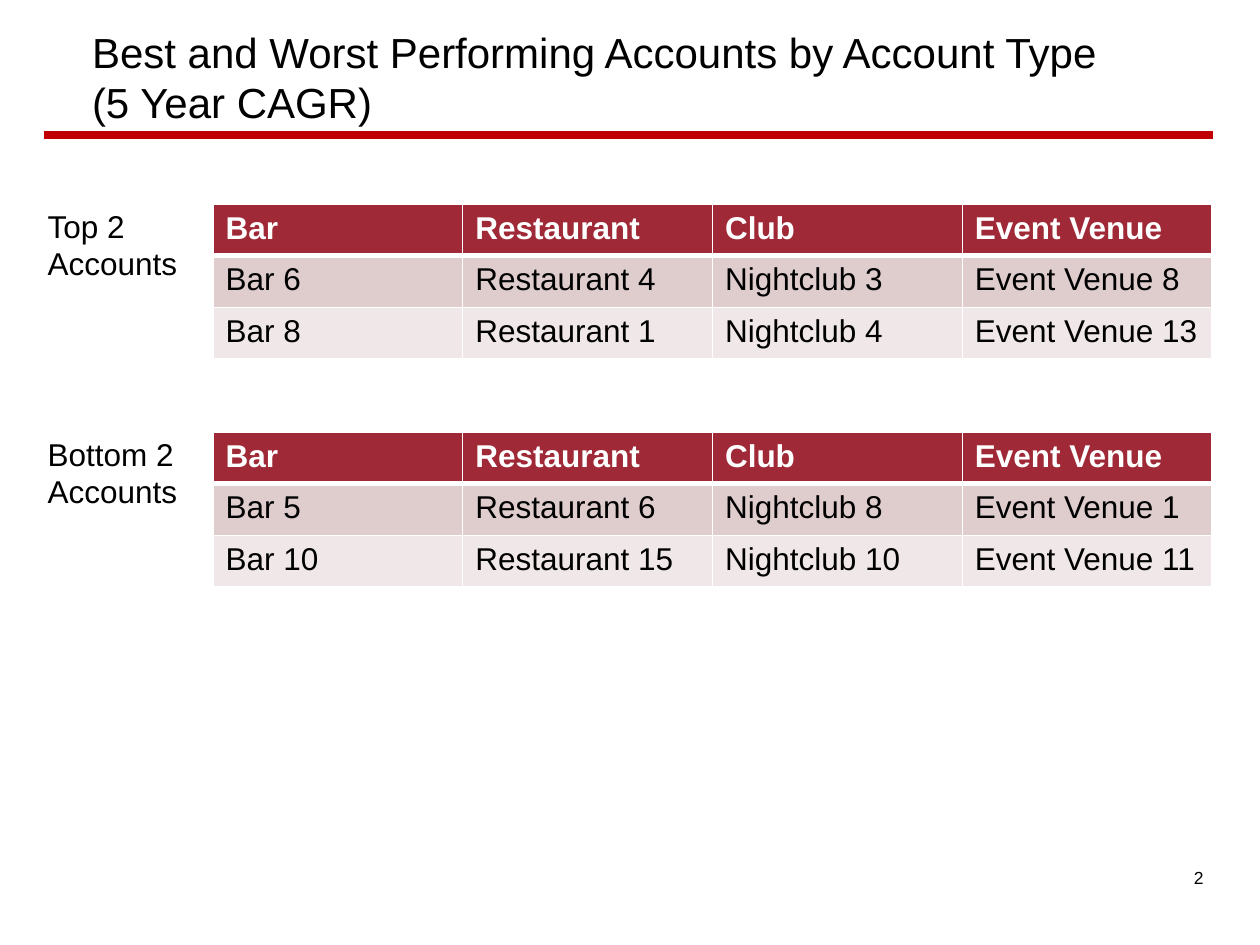
from lxml.etree import SubElement
from pptx import Presentation
from pptx.dml.color import RGBColor
from pptx.enum.shapes import MSO_CONNECTOR
from pptx.enum.text import MSO_ANCHOR, PP_ALIGN
from pptx.oxml.ns import qn
from pptx.util import Inches, Pt

RED, HEADER, BAND, PALE = "C00000", "9F2936", "DFCDCE", "F0E8E8"
BLACK, WHITE = "000000", "FFFFFF"


def color(hex_string):
    """Turn a hex string into a colour."""
    return RGBColor.from_string(hex_string)


def set_border(cell, side, width):
    """Draw one white border of a cell, width in points."""
    properties = cell._tc.get_or_add_tcPr()
    line = SubElement(properties, qn(f"a:ln{side}"), w=str(Pt(width)))
    fill = SubElement(line, qn("a:solidFill"))
    SubElement(fill, qn("a:srgbClr"), val=WHITE)


class SlideBuilder:
    """Holds the text style and the current slide."""

    font = "Arial"

    def __init__(self, slide):
        self.slide = slide

    def fill_text(self, frame, text, size, ink=BLACK, bold=False, align=PP_ALIGN.LEFT):
        """Fill a text frame with one styled paragraph."""
        paragraph = frame.paragraphs[0]
        paragraph.text = text
        paragraph.alignment = align
        for run in paragraph.runs:
            run.font.color.rgb = color(ink)
            formats = {"name": self.font, "size": Pt(size), "bold": bold}
            for name, value in formats.items():
                setattr(run.font, name, value)

    def text(self, box, text, size, align=PP_ALIGN.LEFT, **formats):
        """Add a wrapping text box."""
        shape = self.slide.shapes.add_textbox(*map(Inches, box))
        frame = shape.text_frame
        for name, value in {"word_wrap": True, **formats}.items():
            setattr(frame, name, value)
        self.fill_text(frame, text, size, align=align)

    def rule(self, left, right, top, width):
        """Add a horizontal red line."""
        ends = map(Inches, (left, top, right, top))
        connector = self.slide.shapes.add_connector(MSO_CONNECTOR.STRAIGHT, *ends)
        connector.line.color.rgb = color(RED)
        connector.line.width = Pt(width)
        SubElement(connector._element.spPr, qn("a:effectLst"))

    def table(self, left, top, width, row_height, rows):
        """Add a table with a header row and banded body rows."""
        box = map(Inches, (left, top, width, row_height * len(rows)))
        table = self.slide.shapes.add_table(len(rows), len(rows[0]), *box).table
        for r, row in enumerate(rows):
            is_header = r == 0
            fill = HEADER if is_header else BAND if r % 2 else PALE
            widths = {"L": 1, "R": 1, "T": 3 if r == 1 else 1, "B": 3 if is_header else 1}
            for c, text in enumerate(row):
                cell = table.cell(r, c)
                for side, points in widths.items():
                    set_border(cell, side, points)
                cell.fill.solid()
                cell.fill.fore_color.rgb = color(fill)
                self.fill_text(cell.text_frame, text, 18, WHITE if is_header else BLACK, is_header)


ACCOUNT_TYPES = ["Bar", "Restaurant", "Club", "Event Venue"]
SECTIONS = [
    ("Top 2 Accounts", 1.62, [
        ["Bar 6", "Restaurant 4", "Nightclub 3", "Event Venue 8"],
        ["Bar 8", "Restaurant 1", "Nightclub 4", "Event Venue 13"],
    ]),
    ("Bottom 2 Accounts", 3.43, [
        ["Bar 5", "Restaurant 6", "Nightclub 8", "Event Venue 1"],
        ["Bar 10", "Restaurant 15", "Nightclub 10", "Event Venue 11"],
    ]),
]

presentation = Presentation()
presentation.slide_width, presentation.slide_height = Inches(10), Inches(7.5)
builder = SlideBuilder(presentation.slides.add_slide(presentation.slide_layouts[6]))

builder.text((7, 6.83, 2.65, 0.52), "2", 10, PP_ALIGN.RIGHT)
builder.rule(0.35, 9.63, 1.07, 4.5)
builder.text((0.34, 0.14, 9.29, 0.94),
             "Best and Worst Performing Accounts by Account Type \v(5 Year CAGR)",
             24, margin_left=Inches(0.39), vertical_anchor=MSO_ANCHOR.MIDDLE)
for label, top, accounts in SECTIONS:
    builder.table(1.69, top, 7.93, 0.41, [ACCOUNT_TYPES, *accounts])
    builder.text((0.28, top - 0.03, 1.65, 0.71), label, 18)

presentation.save("out.pptx")
